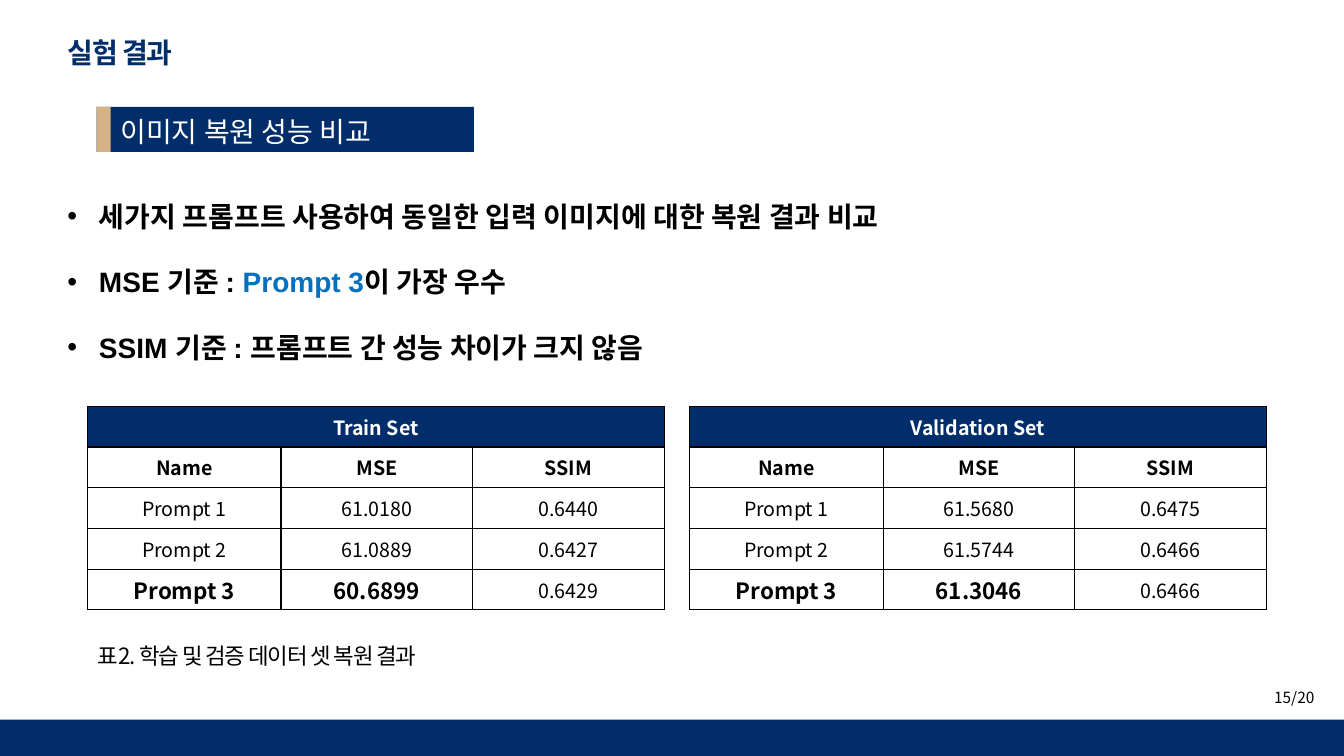
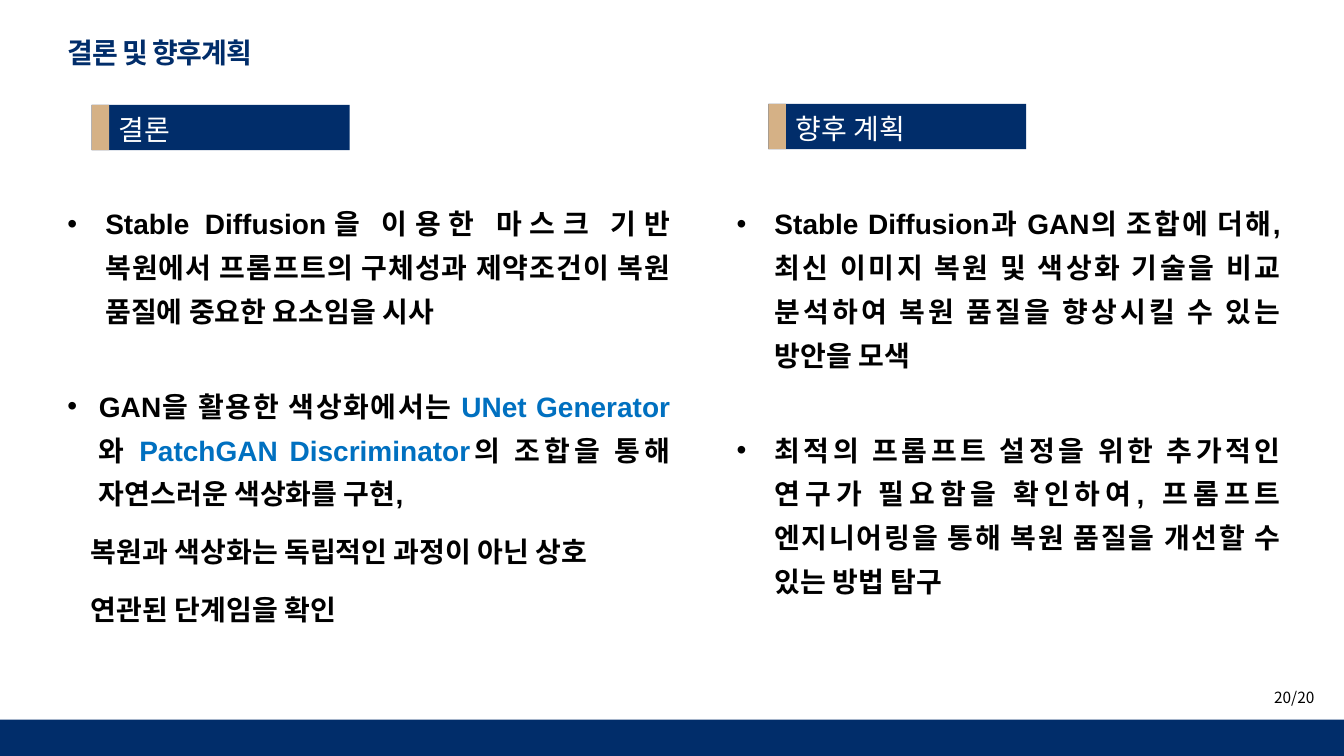
from pptx import Presentation
from pptx.dml.color import RGBColor
from pptx.enum.shapes import MSO_SHAPE
from pptx.enum.text import MSO_ANCHOR, MSO_AUTO_SIZE, PP_ALIGN
from pptx.oxml.ns import qn
from pptx.util import Pt
from lxml import etree

# Shared style
COLORS = {"navy": "012D6A", "tan": "D5B186", "blue": "0070C0",
          "black": "000000", "white": "FFFFFF"}
KOREAN = "Noto Sans CJK KR"
W, H, BAND_H = 960, 540, 26
PILL_H = 32.3

# Slide content: blue phrases stand between bars
# Bullets: (left margin, first-line indent, space before, text)
SLIDES = [
    {"title": "실험 결과", "layout": 1, "page": "15/20",
     # (x, y, width, accent width, text)
     "pills": [(69, 76.3, 269.5, 10, "이미지 복원 성능 비교")],
     "line": 36.8,
     # (x, y, width, height, bullets)
     "bodies": [(41, 126, 837, 145, [
         (22.5, -22.5, 0, "세가지 프롬프트 사용하여 동일한 입력 이미지에 대한 복원 결과 비교"),
         (22.5, -22.5, 10, "MSE 기준 : |Prompt 3|이 가장 우수"),
         (22.5, -22.5, 10, "SSIM 기준 : 프롬프트 간 성능 차이가 크지 않음"),
     ])],
     "tables": [
         ("Train Set", ["61.0180", "61.0889", "60.6899"],
          ["0.6440", "0.6427", "0.6429"]),
         ("Validation Set", ["61.5680", "61.5744", "61.3046"],
          ["0.6475", "0.6466", "0.6466"]),
     ],
     "caption": "표2. 학습 및 검증 데이터 셋 복원 결과"},
    {"title": "결론 및 향후계획", "layout": 3, "page": "20/20",
     "pills": [(65.5, 74.9, 184.3, 12.5, "결론"),
               (548.8, 74.2, 184.3, 12.5, "향후 계획")],
     "line": 31.2,
     "bodies": [
         (41, 137, 445, 363, [
             (27, -27, 0, "Stable Diffusion을 이용한 마스크 기반 복원에서 프롬프트의 "
                          "구체성과 제약조건이 복원 품질에 중요한 요소임을 시사"),
             (22.5, -22.5, 36.7, "GAN을 활용한 색상화에서는 |UNet Generator|와 "
                                 "|PatchGAN Discriminator|의 조합을 통해 "
                                 "자연스러운 색상화를 구현,"),
             (16.8, 0, 10, "복원과 색상화는 독립적인 과정이 아닌 상호"),
             (16.8, 0, 10, "연관된 단계임을 확인"),
         ]),
         (519, 137, 403, 334, [
             (27, -27, 0, "Stable Diffusion과 GAN의 조합에 더해, 최신 이미지 복원 및 "
                          "색상화 기술을 비교 분석하여 복원 품질을 향상시킬 수 있는 "
                          "방안을 모색"),
             (27, -27, 36.7, "최적의 프롬프트 설정을 위한 추가적인 연구가 필요함을 확인하여, "
                             "프롬프트 엔지니어링을 통해 복원 품질을 개선할 수 있는 "
                             "방법 탐구"),
         ]),
     ],
     "tables": [], "caption": None},
]


def add_run(p, text, size=20, color="black", bold=False, font=KOREAN, spacing=None):
    r = p.add_run()
    r.text = text
    r.font.size, r.font.bold, r.font.name = Pt(size), bold, font
    r.font.color.rgb = RGBColor.from_string(COLORS[color])
    rPr = r.font._element
    etree.SubElement(rPr, qn("a:ea")).set("typeface", KOREAN)
    if spacing:
        rPr.set("spc", str(int(spacing * 100)))


def add_rect(shapes, x, y, w, h, color):
    sp = shapes.add_shape(MSO_SHAPE.RECTANGLE, Pt(x), Pt(y), Pt(w), Pt(h))
    sp.shadow.inherit = False
    sp.fill.solid()
    sp.fill.fore_color.rgb = RGBColor.from_string(COLORS[color])
    sp.line.fill.background()
    return sp


prs = Presentation()
prs.slide_width, prs.slide_height = Pt(W), Pt(H)

for number, content in enumerate(SLIDES):
    s = prs.slides.add_slide(prs.slide_layouts[content["layout"]])

    # Bottom band, moved once to the master
    if number == 0:
        band = add_rect(s.shapes, 0, H - BAND_H, W, BAND_H, "navy")
        prs.slide_master.shapes.element.append(band.element)

    # Title
    title = s.shapes.title
    title.left, title.top, title.width, title.height = Pt(41), Pt(9.4), Pt(560), Pt(49)
    tf = title.text_frame
    tf.auto_size, tf.vertical_anchor = MSO_AUTO_SIZE.NONE, MSO_ANCHOR.MIDDLE
    p = tf.paragraphs[0]
    p.alignment, p.line_spacing = PP_ALIGN.LEFT, 1.3
    add_run(p, content["title"], color="navy", bold=True, spacing=-0.8)

    # Section headings
    for x, y, w, accent_w, text in content["pills"]:
        group = s.shapes.add_group_shape()
        pill = add_rect(group.shapes, x, y, w, PILL_H, "navy")
        add_rect(group.shapes, x, y, accent_w, PILL_H, "tan")
        tf = pill.text_frame
        tf.vertical_anchor = MSO_ANCHOR.MIDDLE
        tf.margin_left, tf.margin_top, tf.margin_bottom = Pt(accent_w + 7), Pt(3), 0
        p = tf.paragraphs[0]
        p.alignment = PP_ALIGN.LEFT
        add_run(p, text, color="white")

    # Bullet lists
    for idx, (x, y, w, h, bullets) in enumerate(content["bodies"], 1):
        body = s.placeholders[idx]
        body.left, body.top, body.width, body.height = Pt(x), Pt(y), Pt(w), Pt(h)
        tf = body.text_frame
        tf.auto_size, tf.vertical_anchor = MSO_AUTO_SIZE.NONE, MSO_ANCHOR.TOP
        for i, (margin, indent, before, text) in enumerate(bullets):
            p = tf.add_paragraph() if i else tf.paragraphs[0]
            pPr = p._p.get_or_add_pPr()
            pPr.set("marL", str(Pt(margin)))
            pPr.set("indent", str(Pt(indent)))
            if indent:
                etree.SubElement(pPr, qn("a:buChar")).set("char", "•")
            else:
                etree.SubElement(pPr, qn("a:buNone"))
            p.alignment = PP_ALIGN.JUSTIFY
            p.line_spacing, p.space_before = Pt(content["line"]), Pt(before)
            for j, part in enumerate(text.split("|")):
                add_run(p, part, color="blue" if j % 2 else "black",
                        bold=True, font="Arial")

    # Result tables
    for t, (heading, mse, ssim) in enumerate(content["tables"]):
        rows = [(heading, "", ""), ("Name", "MSE", "SSIM")]
        rows += [(f"Prompt {n}", *pair) for n, pair in enumerate(zip(mse, ssim), 1)]
        table = s.shapes.add_table(len(rows), 3, Pt(62.6 + 430 * t), Pt(290.2),
                                   Pt(411.8), Pt(145.5)).table
        for column, width in zip(table.columns, (138.2, 136.8, 136.8)):
            column.width = Pt(width)
        table.cell(0, 0).merge(table.cell(0, 2))
        for i, row in enumerate(rows):
            table.rows[i].height = Pt(29.1)
            for j, value in enumerate(row):
                cell = table.cell(i, j)
                cell.margin_left = cell.margin_right = Pt(5)
                cell.margin_top = cell.margin_bottom = 0
                cell.vertical_anchor = MSO_ANCHOR.MIDDLE
                tcPr = cell._tc.get_or_add_tcPr()
                for side in ("a:lnL", "a:lnR", "a:lnT", "a:lnB"):
                    ln = etree.SubElement(tcPr, qn(side), w=str(Pt(1)))
                    fill = etree.SubElement(ln, qn("a:solidFill"))
                    etree.SubElement(fill, qn("a:srgbClr"), val=COLORS["black"])
                cell.fill.solid()
                cell.fill.fore_color.rgb = RGBColor.from_string(
                    COLORS["white" if i else "navy"])
                if value:
                    best = i == len(rows) - 1 and j < 2
                    p = cell.text_frame.paragraphs[0]
                    p.alignment = PP_ALIGN.CENTER
                    add_run(p, value, size=16 if best else 14, bold=best or i < 2,
                            color="black" if i else "white")

    # Table caption
    if content["caption"]:
        tf = s.shapes.add_textbox(Pt(62.6), Pt(445.7), Pt(485), Pt(36)).text_frame
        tf.word_wrap = True
        p = tf.paragraphs[0]
        p.line_spacing = 1.5
        add_run(p, content["caption"], size=16, spacing=-0.8)

    # Page number
    tf = s.shapes.add_textbox(Pt(903), Pt(488), Pt(48), Pt(21)).text_frame
    tf.word_wrap = False
    add_run(tf.paragraphs[0], content["page"], size=11)

prs.save("out.pptx")
